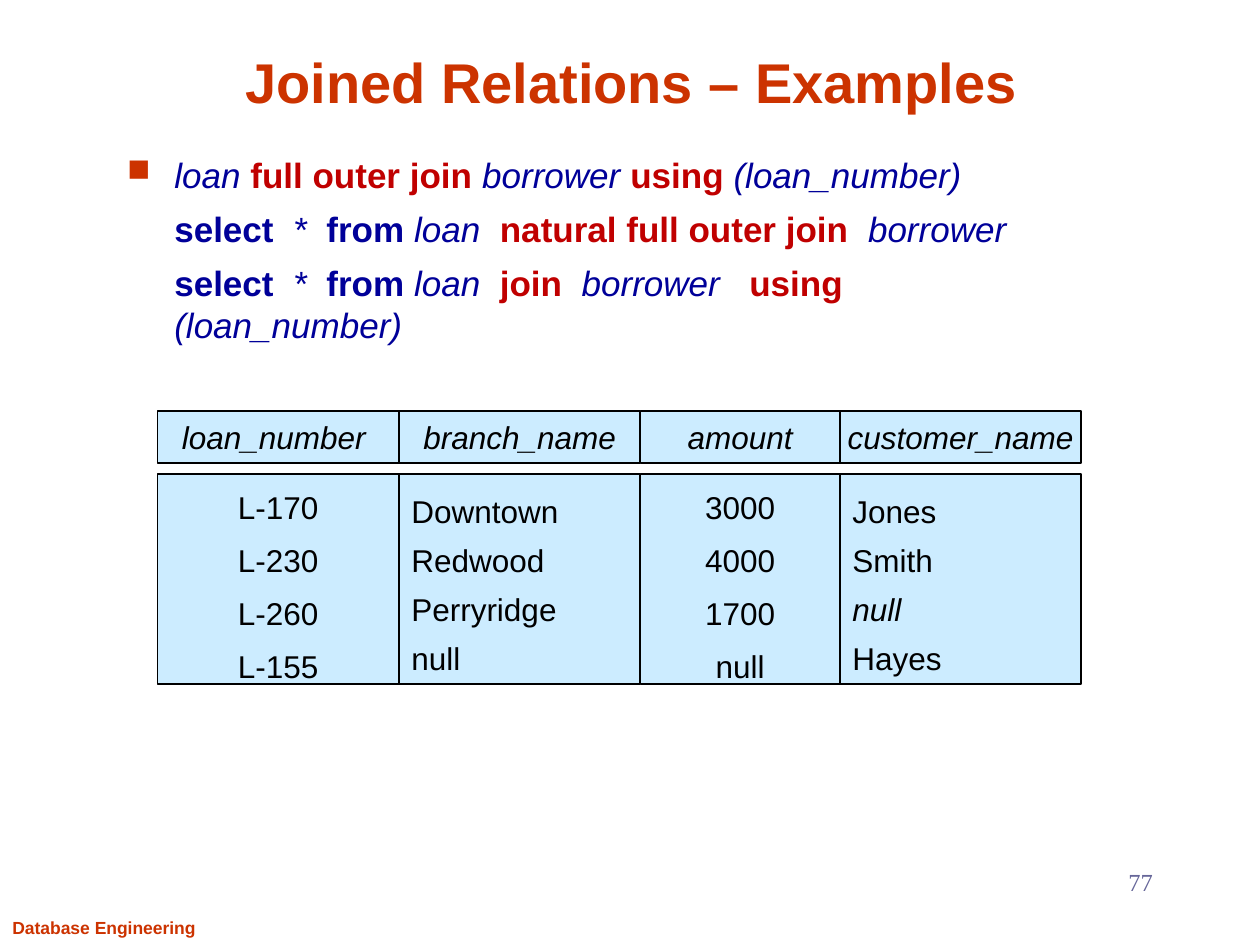
from lxml import etree
from pptx import Presentation
from pptx.dml.color import RGBColor
from pptx.enum.shapes import MSO_SHAPE
from pptx.enum.text import MSO_ANCHOR, MSO_AUTO_SIZE, PP_ALIGN
from pptx.oxml.ns import qn
from pptx.util import Pt

RECT = MSO_SHAPE.RECTANGLE
TOP, MIDDLE, BOTTOM = MSO_ANCHOR.TOP, MSO_ANCHOR.MIDDLE, MSO_ANCHOR.BOTTOM
LEFT, CENTER, RIGHT = PP_ALIGN.LEFT, PP_ALIGN.CENTER, PP_ALIGN.RIGHT
NO_FIT = MSO_AUTO_SIZE.NONE

ORANGE = RGBColor(0xCC, 0x33, 0x00)
NAVY = RGBColor(0x00, 0x00, 0x99)
RED = RGBColor(0xC0, 0x00, 0x00)
SLATE = RGBColor(0x66, 0x66, 0x99)
BLACK = RGBColor(0x00, 0x00, 0x00)
PALE_BLUE = RGBColor(0xCC, 0xEC, 0xFF)

TITLE = {"name": "Arial", "size": Pt(32), "bold": True, "color": ORANGE}
FOOTER = {"name": "Arial", "size": Pt(10), "bold": True, "color": ORANGE}
NUMBER = {"name": "Times New Roman", "size": Pt(14), "color": SLATE}
KEYWORD = {"name": "Arial", "size": Pt(20), "bold": True, "color": NAVY}
JOIN = {**KEYWORD, "color": RED}
NAME = {"name": "Arial", "size": Pt(20), "italic": True, "color": NAVY}
CELL = {"name": "Arial", "size": Pt(18), "color": BLACK}
CELL_ITALIC = {**CELL, "italic": True}

QUERIES = [
    [("loan ", NAME), ("full outer join ", JOIN), ("borrower ", NAME),
     ("using ", JOIN), ("(loan_number)", NAME)],
    [("select", KEYWORD), ("  *  ", NAME), ("from", KEYWORD), (" loan  ", NAME),
     ("natural full outer join", JOIN), ("  borrower", NAME)],
    [("select", KEYWORD), ("  *  ", NAME), ("from", KEYWORD), (" loan  ", NAME),
     ("join", JOIN), ("  borrower   ", NAME), ("using", JOIN),
     (" (loan_number)", NAME)],
]

COLUMNS = [
    ("loan_number ", 138, CENTER, 1.4, ["L-170", "L-230", "L-260", "L-155"]),
    ("branch_name", 138, LEFT, 1.3, ["Downtown", "Redwood", "Perryridge", "null"]),
    ("amount", 114, CENTER, 1.4, ["3000", "4000", "1700", "null"]),
    ("customer_name", 138, LEFT, 1.3, ["Jones", "Smith", "null", "Hayes"]),
]


def write(sp, paragraphs, align=LEFT, anchor=TOP, wrap=True, spacing=None):
    """Fill a shape with paragraphs given as lists of (text, format) runs."""
    tf = sp.text_frame
    tf.auto_size, tf.word_wrap, tf.vertical_anchor = NO_FIT, wrap, anchor
    for i, runs in enumerate(paragraphs):
        p = tf.paragraphs[0] if i == 0 else tf.add_paragraph()
        p.alignment, p.line_spacing = align, spacing
        for text, style in runs:
            r = p.add_run()
            r.text = text
            for key, value in style.items():
                if key == "color":
                    r.font.color.rgb = value
                else:
                    setattr(r.font, key, value)
    return tf


def add_title(s, left, top, width, height):
    """Place and format the title placeholder."""
    sp = s.shapes.title
    sp.left, sp.top, sp.width, sp.height = map(Pt, (left, top, width, height))
    write(sp, [[("Joined Relations – Examples", TITLE)]], CENTER, BOTTOM)


def add_queries(s, left, top, width, height):
    """Add the join expressions, the first with a square bullet."""
    sp = s.shapes.add_textbox(*map(Pt, (left, top, width, height)))
    tf = write(sp, QUERIES)
    for i, p in enumerate(tf.paragraphs):
        p.space_before = Pt(7 if i else 0)
        pPr = p._p.get_or_add_pPr()
        pPr.set("marL", str(Pt(27)))
        pPr.set("indent", str(0 if i else -Pt(27)))
    pPr = tf.paragraphs[0]._p.get_or_add_pPr()
    color = etree.SubElement(pPr, qn("a:buClr"))
    etree.SubElement(color, qn("a:srgbClr"), val=str(ORANGE))
    etree.SubElement(pPr, qn("a:buSzPct"), val="90000")
    etree.SubElement(pPr, qn("a:buChar"), char="■")


def add_cell(s, box, paragraphs, **layout):
    """Add one outlined pale blue box of the relation."""
    sp = s.shapes.add_shape(RECT, *map(Pt, box))
    sp.shadow.inherit = False
    sp.fill.solid()
    sp.fill.fore_color.rgb = PALE_BLUE
    sp.line.color.rgb = BLACK
    sp.line.width = Pt(1)
    write(sp, paragraphs, anchor=MIDDLE, **layout)


def add_relation(s, left, top, head_height, gap, body_height):
    """Add the result relation as headings above separate columns."""
    body_top = top + head_height + gap
    for heading, width, align, spacing, values in COLUMNS:
        add_cell(s, (left, top, width, head_height),
                 [[(heading, CELL_ITALIC)]], align=CENTER, wrap=False)
        null_style = CELL_ITALIC if heading == "customer_name" else CELL
        rows = [[(v, null_style if v == "null" else CELL)] for v in values]
        add_cell(s, (left, body_top, width, body_height), rows,
                 align=align, spacing=spacing)
        left += width


def add_label(s, box, text, style, **layout):
    """Add a one-line label at the foot of the slide."""
    sp = s.shapes.add_textbox(*map(Pt, box))
    write(sp, [[(text, style)]], **layout)


def main():
    """Build and save the slide."""
    prs = Presentation()
    prs.slide_width, prs.slide_height = Pt(720), Pt(540)
    s = prs.slides.add_slide(prs.slide_layouts[5])
    add_label(s, (0, 520.5, 119, 19.5), "Database Engineering", FOOTER, wrap=False)
    add_label(s, (516, 492, 150, 36), "77", NUMBER, align=RIGHT)
    add_title(s, 43, 16, 636, 53)
    add_queries(s, 65.5, 84, 536, 32.5)
    add_relation(s, 90, 234.75, 30, 6, 120)
    prs.save("out.pptx")


if __name__ == "__main__":
    main()
